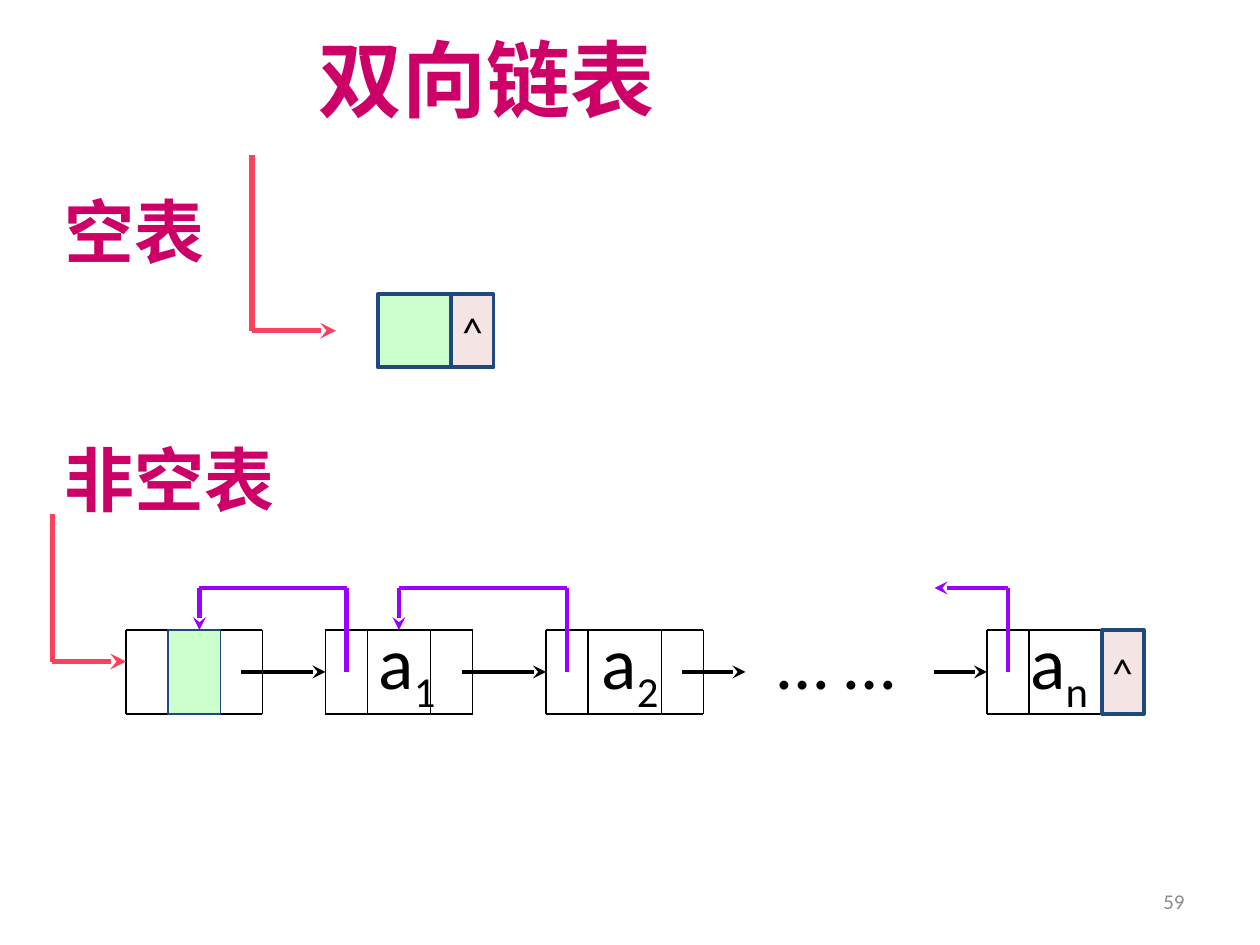
from pptx import Presentation
from pptx.dml.color import RGBColor
from pptx.enum.shapes import MSO_CONNECTOR, MSO_SHAPE
from pptx.enum.text import MSO_ANCHOR, PP_ALIGN
from pptx.oxml.ns import qn
from pptx.util import Pt
from lxml import etree

LINE, RECT = MSO_CONNECTOR.STRAIGHT, MSO_SHAPE.RECTANGLE
TOP, MIDDLE = MSO_ANCHOR.TOP, MSO_ANCHOR.MIDDLE
LEFT, CENTER, RIGHT = PP_ALIGN.LEFT, PP_ALIGN.CENTER, PP_ALIGN.RIGHT

THEME = dict(
    font="Calibri", heading="CC0066", black="000000", grey="8C8C8C",
    head="FB415C", prior="9900FF", border="1F497D", green="CCFFCC", pink="F4E4E4",
    title=48, section=40, label=42, mark=24, number=12,
    thin=0.75, frame=2.25, link=2.5, entry=3,
)

# Content: text, box, size, colour, bold, alignment, anchor, wrap
TEXTS = [
    ("59", (516, 500.4, 168, 28.8), "number", "grey", False, RIGHT, MIDDLE, True),
    ("双向链表", (175, 12.2, 209.5, 65.5), "title", "heading", True, LEFT, TOP, False),
    ("空表", (30, 104.4, 95, 55.4), "section", "heading", True, LEFT, TOP, False),
    ("非空表", (30, 246.2, 135.4, 55.4), "section", "heading", True, LEFT, TOP, False),
]

# Node labels: tab position, text, subscript
LABELS_BOX = (182.2, 348.5, 529.2, 80)
LABELS = [(27, "a", "1"), (154.5, "a", "2"), (255, "… …", ""), (399.5, "a", "n")]

# Nodes of the list: x of each vertical rule
ROW_TOP, ROW_BOTTOM = 360, 408
ROW_MID = (ROW_TOP + ROW_BOTTOM) / 2
LOOP_Y = 336
NODES = [(72, 96, 126, 150), (186, 210, 246, 270),
         (312, 336, 378, 402), (564, 588, 630, 654)]

# Pointers: colour, width, points; the last leg carries the arrowhead
NEXT_LINKS = [(138, 186), (264, 312), (390, 426), (534, 564)]
PRIOR_LINKS = [(198, 114), (324, 228)]
POINTERS = [("black", "link", [(a, ROW_MID), (b, ROW_MID)]) for a, b in NEXT_LINKS]
POINTERS += [("prior", "link", [(a, ROW_MID), (a, LOOP_Y), (b, LOOP_Y), (b, ROW_TOP)])
             for a, b in PRIOR_LINKS]
POINTERS += [
    ("prior", "link", [(576, ROW_MID), (576, LOOP_Y), (534, LOOP_Y)]),
    ("head", "entry", [(30, 294), (30, 378), (72, 378)]),
    ("head", "entry", [(144, 88.5), (144, 189), (192, 189)]),
]

# Filled cells: box, fill, border width, text
ROW_H = ROW_BOTTOM - ROW_TOP
CELLS = [
    ((216, 168, 42, 42), "green", "frame", ""),
    ((258, 168, 24, 42), "pink", "frame", "^"),
    ((96, ROW_TOP, 30, ROW_H), "green", "thin", ""),
    ((629.5, ROW_TOP, 24, ROW_H), "pink", "frame", "^"),
]


def color(name):
    return RGBColor.from_string(THEME[name])


def pts(values):
    return [Pt(v) for v in values]


def style(r, size, tint, bold=False):
    r.font.name = THEME["font"]
    r.font.size = Pt(THEME[size])
    r.font.bold = bold
    r.font.color.rgb = color(tint)


def add_text(s, text, box, size, tint, bold, align, anchor, wrap):
    tf = s.shapes.add_textbox(*pts(box)).text_frame
    tf.text = text
    tf.word_wrap, tf.vertical_anchor = wrap, anchor
    p = tf.paragraphs[0]
    p.alignment = align
    style(p.runs[0], size, tint, bold)


def add_labels(s):
    tf = s.shapes.add_textbox(*pts(LABELS_BOX)).text_frame
    tf.word_wrap = True
    p = tf.paragraphs[0]
    tabs = etree.SubElement(p._p.get_or_add_pPr(), qn("a:tabLst"))
    for pos, text, sub in LABELS:
        etree.SubElement(tabs, qn("a:tab"), pos=str(int(Pt(pos))), algn="l")
        r = p.add_run()
        r.text = "\t" + text
        style(r, "label", "black")
        if sub:
            r = p.add_run()
            r.text = sub
            style(r, "label", "black")
            r._r.get_or_add_rPr().set("baseline", "-25000")


def add_line(s, start, end, tint, width, arrow=False):
    c = s.shapes.add_connector(LINE, *pts(start + end))
    c.line.color.rgb = color(tint)
    c.line.width = Pt(THEME[width])
    if arrow:
        etree.SubElement(c.line._get_or_add_ln(), qn("a:tailEnd"), type="stealth")
    etree.SubElement(c._element.spPr, qn("a:effectLst"))


def add_node(s, rules):
    for y in (ROW_TOP, ROW_BOTTOM):
        add_line(s, (rules[0], y), (rules[-1], y), "black", "thin")
    for x in rules:
        add_line(s, (x, ROW_TOP), (x, ROW_BOTTOM), "black", "thin")


def add_pointer(s, tint, width, points):
    for start, end in zip(points, points[1:]):
        add_line(s, start, end, tint, width, arrow=end == points[-1])


def add_cell(s, box, fill, width, text):
    cell = s.shapes.add_shape(RECT, *pts(box))
    cell.shadow.inherit = False
    cell.fill.solid()
    cell.fill.fore_color.rgb = color(fill)
    cell.line.color.rgb = color("border")
    cell.line.width = Pt(THEME[width])
    if text:
        tf = cell.text_frame
        tf.text = text
        tf.word_wrap, tf.vertical_anchor = False, MIDDLE
        tf.paragraphs[0].alignment = CENTER
        style(tf.paragraphs[0].runs[0], "mark", "black")


def main():
    prs = Presentation()
    prs.slide_width, prs.slide_height = Pt(720), Pt(540)
    s = prs.slides.add_slide(prs.slide_layouts[6])
    # Headings, slide number and node labels
    for item in TEXTS:
        add_text(s, *item)
    add_labels(s)
    # Linked list
    for rules in NODES:
        add_node(s, rules)
    for item in POINTERS:
        add_pointer(s, *item)
    for item in CELLS:
        add_cell(s, *item)
    prs.save("out.pptx")


if __name__ == "__main__":
    main()
